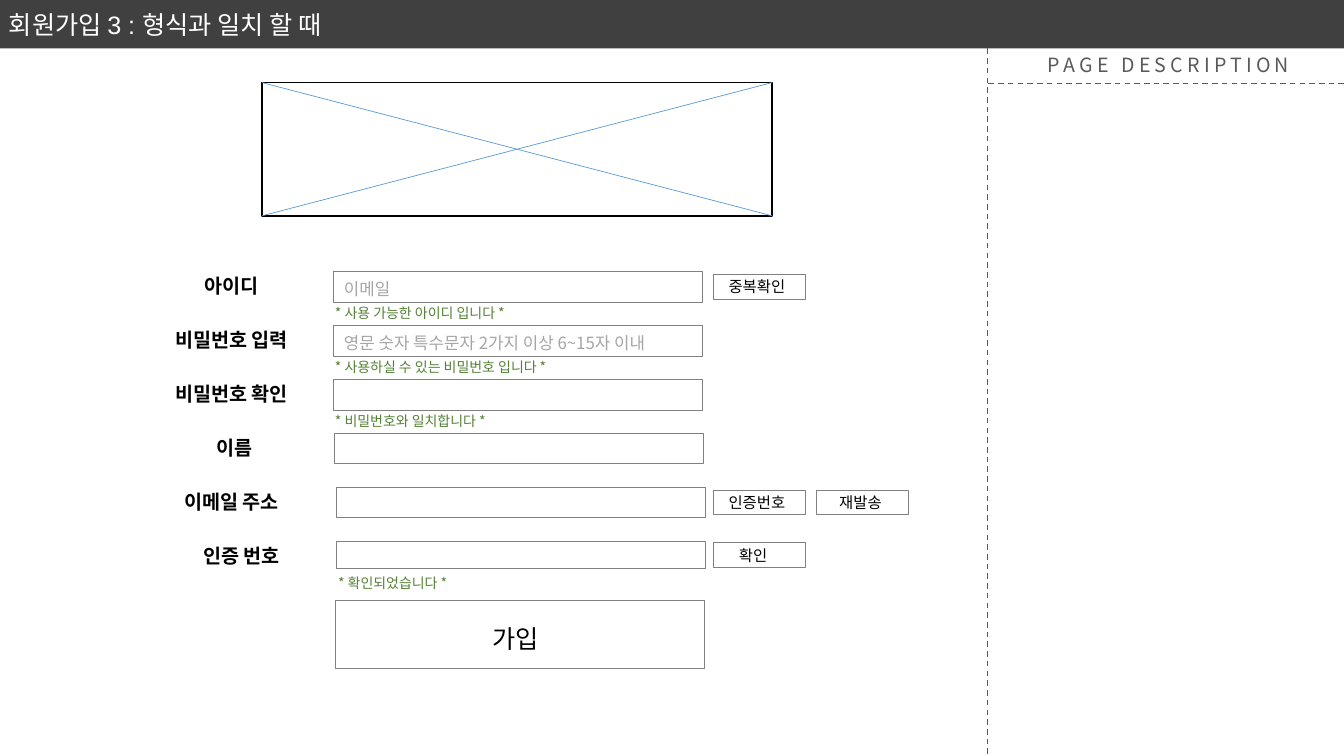
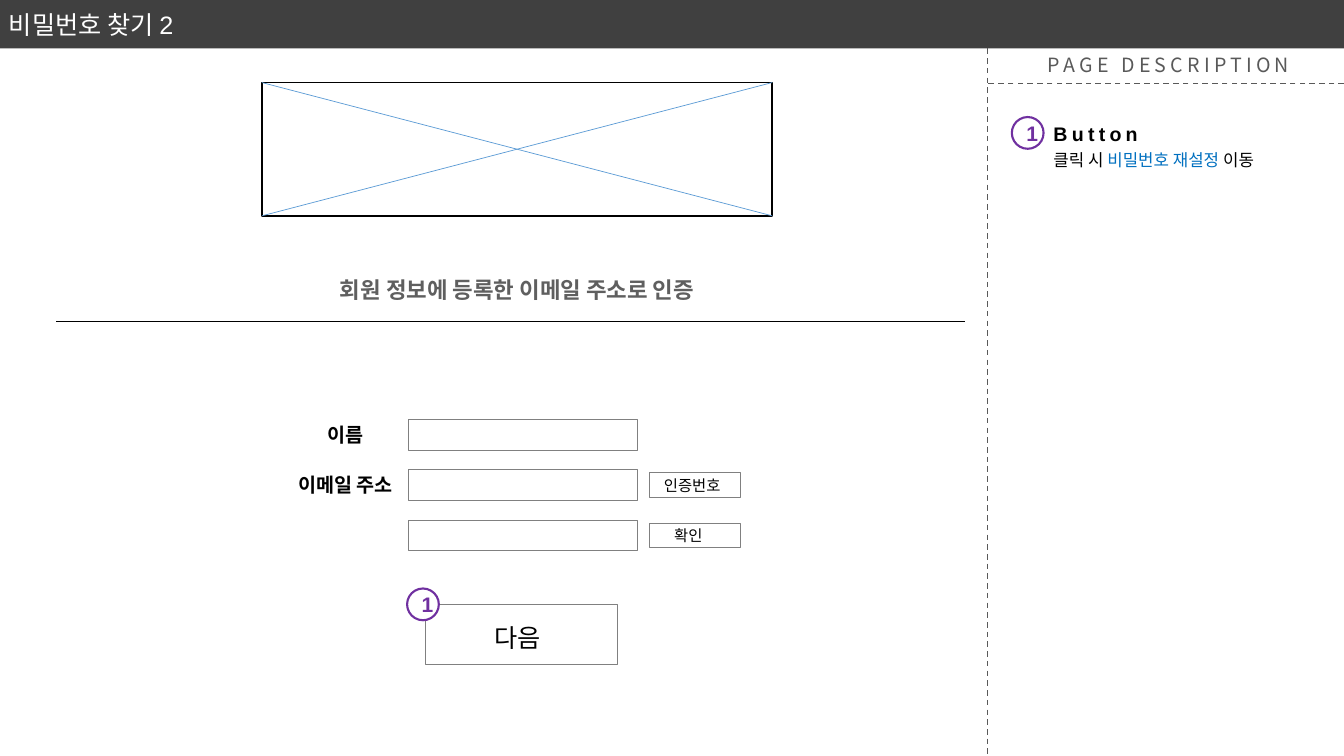
from dataclasses import dataclass
from typing import NamedTuple

from lxml.etree import SubElement
from pptx import Presentation
from pptx.dml.color import RGBColor
from pptx.enum.dml import MSO_LINE
from pptx.enum.shapes import MSO_CONNECTOR, MSO_SHAPE
from pptx.enum.text import MSO_ANCHOR, PP_ALIGN
from pptx.oxml.ns import qn
from pptx.util import Cm, Pt


@dataclass(frozen=True)
class Theme:
    """Colours, fonts and type sizes shared by the slides."""
    band: str = "404040"
    white: str = "FFFFFF"
    black: str = "000000"
    guide: str = "595959"
    outline: str = "808080"
    cross: str = "5B9BD5"
    prompt: str = "A6A6A6"
    success: str = "548235"
    heading: str = "5F5F5F"
    badge: str = "7030A0"
    link: str = "0070C0"
    latin: str = "Arial"
    korean: str = "Noto Sans CJK KR"
    heading_font: str = "Karla"
    title_size: int = 18
    heading_size: int = 16
    badge_size: int = 15
    label_size: int = 14
    body_size: int = 12
    button_size: int = 11
    hint_size: int = 10


THEME = Theme()


class Box(NamedTuple):
    """A rectangle in centimetres."""
    left: float
    top: float
    width: float
    height: float

    def lengths(self):
        """Return the four sides as slide lengths."""
        return [Cm(side) for side in self]


class Button(NamedTuple):
    """A small form button and the indent of its caption."""
    caption: str
    indent: float


class Row(NamedTuple):
    """One line of a form."""
    label: str = ""
    prompt: str = ""
    hint: str = ""
    buttons: tuple = ()
    shift: float = 0
    label_shift: float = 0
    height: float = 0.77


PAGE = Box(0, 0, 33.87, 19.05)
TITLE_BAND = Box(-0.03, 0, 33.9, 1.22)
PANEL = Box(24.89, 1.22, 8.98, 17.83)
LOGO = Box(6.6, 2.08, 12.86, 3.36)
BUTTON_WIDTH, BUTTON_HEIGHT, BUTTON_GAP = 2.31, 0.62, 0.3
BADGE_SIZE = 0.8

SEND_CODE = Button("인증번호", 0.37)
RESEND = Button("재발송", 0.57)
CONFIRM = Button("확인", 0.63)


def style_run(run, size, color=THEME.black, font=THEME.korean, bold=False, spacing=0):
    """Format one run."""
    run.font.size = Pt(size)
    run.font.bold = bold
    run.font.name = font
    run.font.color.rgb = RGBColor.from_string(color)
    properties = run.font._element
    SubElement(properties, qn("a:ea")).set("typeface", THEME.korean)
    if spacing:
        properties.set("spc", str(spacing * 100))


def write(frame, text, size, align=PP_ALIGN.LEFT, **style):
    """Put one formatted paragraph in a frame."""
    frame.word_wrap = True
    frame.text = text
    paragraph = frame.paragraphs[0]
    paragraph.alignment = align
    for run in paragraph.runs:
        style_run(run, size, **style)


def add_text(slide, box, text, size, **style):
    """Add a text box."""
    frame = slide.shapes.add_textbox(*box.lengths()).text_frame
    write(frame, text, size, **style)
    return frame


def add_outline(slide, box, color=THEME.outline, width=0.5, preset=MSO_SHAPE.RECTANGLE):
    """Add an outlined shape without fill."""
    outline = slide.shapes.add_shape(preset, *box.lengths())
    outline.shadow.inherit = False
    outline.fill.background()
    outline.line.color.rgb = RGBColor.from_string(color)
    outline.line.width = Pt(width)
    return outline


def add_captioned(slide, box, caption, size, indent, drop=0, color=THEME.black):
    """Add an outlined rectangle with an indented caption."""
    frame = add_outline(slide, box).text_frame
    frame.vertical_anchor = MSO_ANCHOR.MIDDLE
    frame.margin_left, frame.margin_top = Cm(indent), Cm(drop)
    frame.margin_right = frame.margin_bottom = 0
    write(frame, caption, size, color=color)


def add_line(slide, start, end, color, width, dashed=False):
    """Add a straight line between two points."""
    points = [Cm(value) for value in (*start, *end)]
    line = slide.shapes.add_connector(MSO_CONNECTOR.STRAIGHT, *points)
    line.line.color.rgb = RGBColor.from_string(color)
    line.line.width = Pt(width)
    if dashed:
        line.line.dash_style = MSO_LINE.DASH
    SubElement(line._element.spPr, qn("a:effectLst"))


def add_badge(slide, left, top, number):
    """Add a numbered circle."""
    box = Box(left, top, BADGE_SIZE, BADGE_SIZE)
    badge = add_outline(slide, box, THEME.badge, 1.5, MSO_SHAPE.OVAL)
    badge.fill.solid()
    badge.fill.fore_color.rgb = RGBColor.from_string(THEME.white)
    badge.text_frame.vertical_anchor = MSO_ANCHOR.MIDDLE
    write(badge.text_frame, number, THEME.badge_size, PP_ALIGN.CENTER,
          color=THEME.badge, font=THEME.latin, bold=True)


def place_title(slide, box, text):
    """Turn the title placeholder into the top band."""
    title = slide.shapes.title
    title.left, title.top, title.width, title.height = box.lengths()
    title.fill.solid()
    title.fill.fore_color.rgb = RGBColor.from_string(THEME.band)
    title.text_frame.vertical_anchor = MSO_ANCHOR.MIDDLE
    write(title.text_frame, text, THEME.title_size, color=THEME.white, font=THEME.latin)


def draw_panel(slide, box):
    """Draw the dashed description panel and its heading."""
    rule = box.top + 0.89
    right = box.left + box.width
    add_line(slide, (box.left, box.top), (box.left, box.top + box.height), THEME.guide, 1, True)
    add_line(slide, (right, rule), (box.left, rule), THEME.guide, 1, True)
    add_text(slide, Box(box.left + 1.27, box.top, 6.93, 0.86), "PAGE DESCRIPTION",
             THEME.label_size, color=THEME.guide, spacing=3)


def draw_logo_area(slide, box):
    """Draw the crossed logo area."""
    add_outline(slide, box, THEME.black, 1)
    right, bottom = box.left + box.width, box.top + box.height
    add_line(slide, (box.left, box.top), (right, bottom), THEME.cross, 0.5)
    add_line(slide, (box.left, bottom), (right, box.top), THEME.cross, 0.5)


def draw_row(slide, box, row, label_center):
    """Draw a field with its label, hint and buttons."""
    field = box._replace(left=box.left + row.shift, height=row.height)
    if row.prompt:
        add_captioned(slide, field, row.prompt, THEME.body_size, 0.28, 0.1, THEME.prompt)
    else:
        add_outline(slide, field)
    if row.label:
        left = box.left + label_center - 1.92 + row.label_shift
        add_text(slide, Box(left, box.top - 0.05, 3.84, 0.86), row.label,
                 THEME.label_size, align=PP_ALIGN.CENTER, bold=True)
    if row.hint:
        add_text(slide, Box(field.left - 0.2, box.top + 0.71, 9.3, 0.69), row.hint,
                 THEME.hint_size, color=THEME.success)
    left = box.left + box.width + BUTTON_GAP
    top = box.top + (row.height - BUTTON_HEIGHT) / 2
    for button in row.buttons:
        add_captioned(slide, Box(left, top, BUTTON_WIDTH, BUTTON_HEIGHT),
                      button.caption, THEME.button_size, button.indent)
        left += BUTTON_WIDTH + 0.28


def draw_form(slide, box, rows, label_center):
    """Spread the form rows evenly over the height of the box."""
    pitch = box.height / len(rows)
    for index, row in enumerate(rows):
        draw_row(slide, box._replace(top=box.top + index * pitch), row, label_center)


def draw_heading(slide, box, text):
    """Draw a centred heading above a thin rule."""
    frame = add_text(slide, Box(LOGO.left, box.top, LOGO.width, 0.89), text,
                     THEME.heading_size, align=PP_ALIGN.CENTER,
                     color=THEME.heading, font=THEME.heading_font, bold=True)
    frame.vertical_anchor = MSO_ANCHOR.MIDDLE
    bottom = box.top + box.height
    add_line(slide, (box.left, bottom), (box.left + box.width, bottom), THEME.black, 0.5)


def draw_note(slide, box, number, name, parts):
    """Draw a numbered note with coloured text parts."""
    add_badge(slide, box.left, box.top, number)
    left, width = box.left + BADGE_SIZE, box.width - BADGE_SIZE
    add_text(slide, Box(left, box.top, width, 0.86), name, THEME.label_size,
             font=THEME.latin, bold=True, spacing=3)
    frame = slide.shapes.add_textbox(*Box(left, box.top + 0.71, width, 0.76).lengths()).text_frame
    frame.word_wrap = True
    for text, color in parts:
        run = frame.paragraphs[0].add_run()
        run.text = text
        style_run(run, THEME.body_size, color, THEME.latin)


def start_slide(deck, title):
    """Add a slide with the shared title band, panel and logo area."""
    slide = deck.slides.add_slide(deck.slide_layouts[5])
    place_title(slide, TITLE_BAND, title)
    draw_panel(slide, PANEL)
    draw_logo_area(slide, LOGO)
    return slide


def build_sign_up(deck):
    """Build the sign-up slide."""
    slide = start_slide(deck, "회원가입 3 : 형식과 일치 할 때")
    rows = [
        Row("아이디", "이메일", "* 사용 가능한 아이디 입니다 *", (Button("중복확인", 0.37),)),
        Row("비밀번호 입력", "영문 숫자 특수문자 2가지 이상 6~15자 이내",
            "* 사용하실 수 있는 비밀번호 입니다 *"),
        Row("비밀번호 확인", hint="* 비밀번호와 일치합니다 *"),
        Row("이름", shift=0.04, label_shift=0.08),
        Row("이메일 주소", buttons=(SEND_CODE, RESEND), shift=0.08),
        Row("인증 번호", hint="* 확인되었습니다 *", buttons=(CONFIRM,),
            shift=0.08, label_shift=0.25, height=0.69),
    ]
    draw_form(slide, Box(8.39, 6.84, 9.3, 8.16), rows, -2.55)
    add_captioned(slide, Box(8.46, 15.14, 9.3, 1.7), "가입", THEME.title_size, 3.96, 0.18)


def build_find_password(deck):
    """Build the password recovery slide."""
    slide = start_slide(deck, "비밀번호 찾기 2")
    draw_heading(slide, Box(1.42, 6.86, 22.91, 1.24), "회원 정보에 등록한 이메일 주소로 인증")
    rows = [Row("이름"), Row("이메일 주소", buttons=(SEND_CODE,)), Row(buttons=(CONFIRM,))]
    draw_form(slide, Box(10.29, 10.57, 5.77, 3.81), rows, -1.58)
    add_captioned(slide, Box(10.72, 15.24, 4.83, 1.5), "다음", THEME.title_size, 1.75, 0.15)
    add_badge(slide, 10.26, 14.83, "1")
    parts = [("클릭 시 ", THEME.black), ("비밀번호 재설정 ", THEME.link), ("이동", THEME.black)]
    draw_note(slide, Box(PANEL.left + 0.61, PANEL.top + 1.73, 7.05, 1.47), "1", "Button", parts)


def main():
    """Build and save the deck."""
    deck = Presentation()
    deck.slide_width, deck.slide_height = Cm(PAGE.width), Cm(PAGE.height)
    build_sign_up(deck)
    build_find_password(deck)
    deck.save("out.pptx")


if __name__ == "__main__":
    main()
